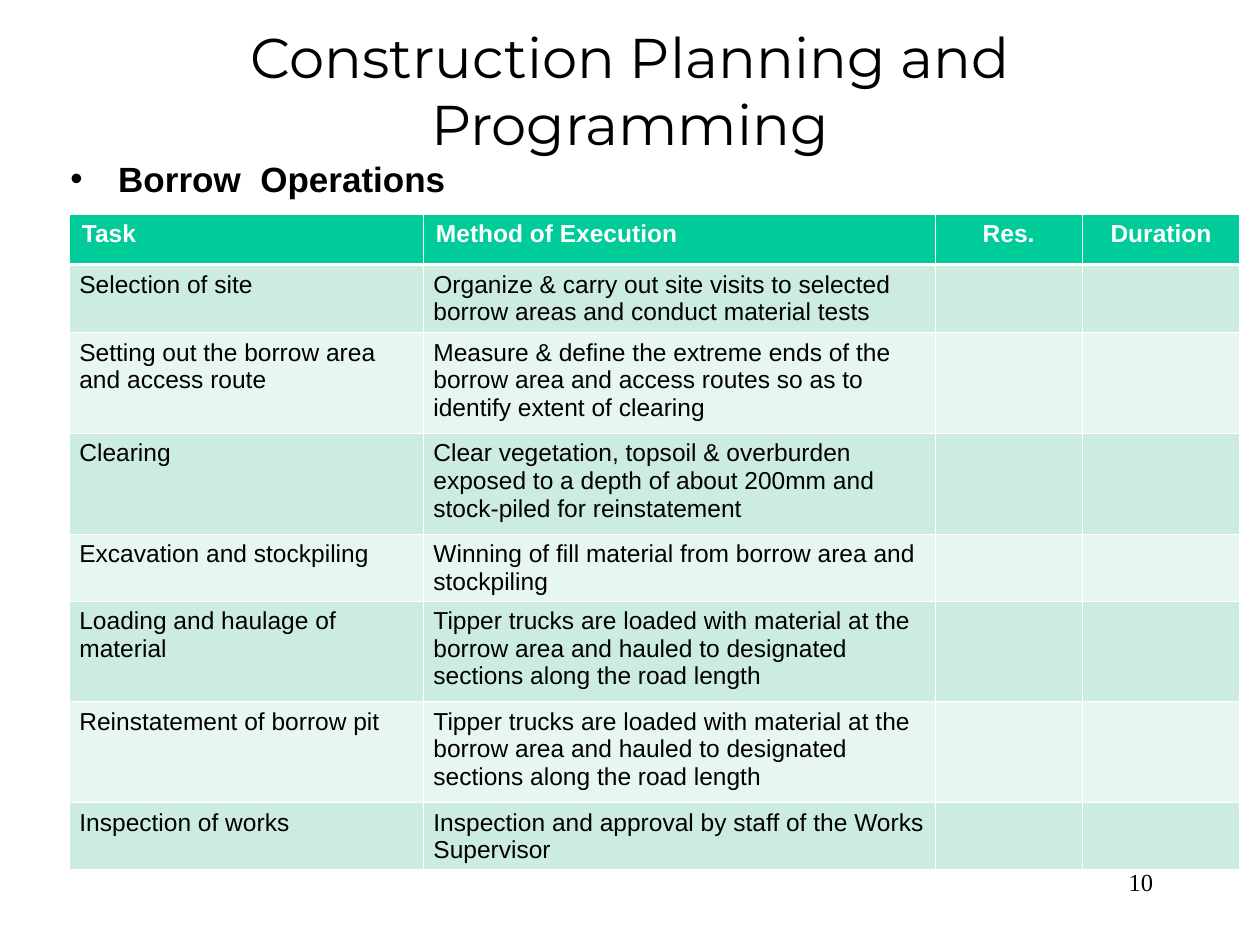
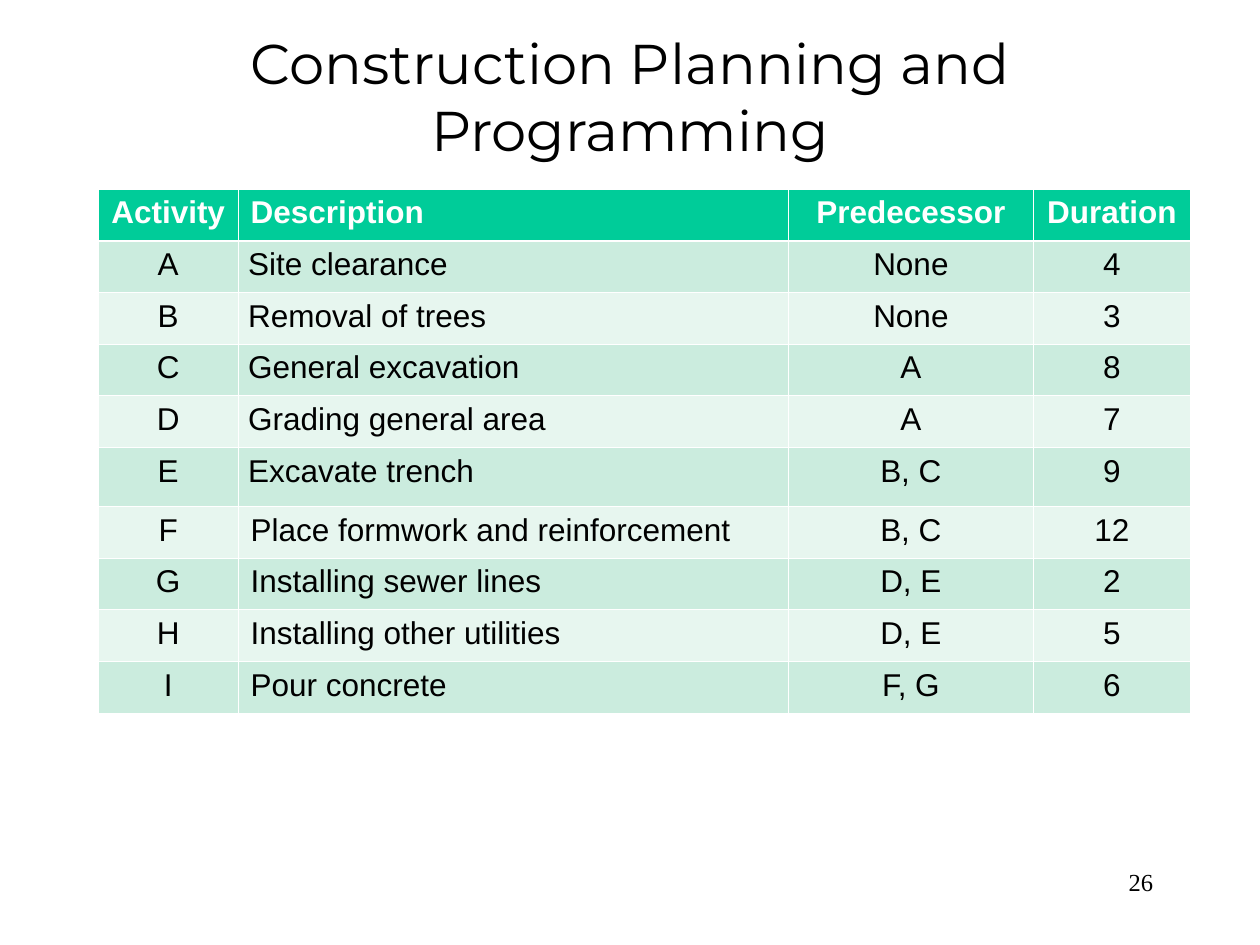
"""Build two construction planning slides, each with a banded table."""
from lxml.etree import SubElement as Sub
from pptx import Presentation
from pptx.dml.color import RGBColor as Rgb
from pptx.enum.text import MSO_ANCHOR as Anchor, MSO_AUTO_SIZE as Auto, PP_ALIGN as Align
from pptx.oxml.ns import qn
from pptx.util import Inches, Pt

TITLE = "Construction Planning and Programming"
HAUL = ("Tipper trucks are loaded with material at the borrow area "
        "and hauled to designated sections along the road length")
BORROW = [
    ("Task", "Method of Execution", "Res.", "Duration"),
    ("Selection of site", "Organize & carry out site visits to selected "
     "borrow areas and conduct material tests", "", ""),
    ("Setting out the borrow area and access route",
     "Measure & define the extreme ends of the borrow area and access routes "
     "so as to identify extent of clearing", "", ""),
    ("Clearing", "Clear vegetation, topsoil & overburden exposed to a depth "
     "of about 200mm and stock-piled for reinstatement", "", ""),
    ("Excavation and stockpiling",
     "Winning of fill material from borrow area and stockpiling", "", ""),
    ("Loading and haulage of material", HAUL, "", ""),
    ("Reinstatement of borrow pit", HAUL, "", ""),
    ("Inspection of works",
     "Inspection and approval by staff of the Works Supervisor", "", ""),
]
WORKS = [
    ("Activity", "Description", "Predecessor", "Duration"),
    ("A", "Site clearance", "None", "4"),
    ("B", "Removal of trees", "None", "3"),
    ("C", "General excavation", "A", "8"),
    ("D", "Grading general area", "A", "7"),
    ("E", "Excavate trench", "B, C", "9"),
    ("F", "Place formwork and reinforcement", "B, C", "12"),
    ("G", "Installing sewer lines", "D, E", "2"),
    ("H", "Installing other utilities", "D, E", "5"),
    ("I", "Pour concrete", "F, G", "6"),
]
SLIDES = [
    dict(page="10", top=0.25, bullet="Borrow  Operations", rows=BORROW,
         at=(0.55, 1.7), cols=(2.81, 4.06, 1.17, 1.25), size=14, align="llcc",
         highs=(0.4, 0.54, 0.8, 0.8, 0.53, 0.8, 0.8, 0.53), wide=(0,)),
    dict(page="26", top=0.3, bullet="", rows=WORKS,
         at=(0.78, 1.5), cols=(1.11, 4.37, 1.94, 1.25), size=18, align="cjcc",
         highs=[0.47 if row == 5 else 0.41 for row in range(10)],
         wide=(0, 6, 7, 8, 9)),
]
COLOR = dict(ink="000000", paper="FFFFFF", head="00CC99", dark="CBECDE", light="E7F6EF")
SIDES = dict(l=Align.LEFT, c=Align.CENTER, r=Align.RIGHT, j=Align.JUSTIFY)
THIN, THICK = 0.45, 1.47


def write(frame, text, size, face="Arial", ink="ink", bold=False, side="l"):
    para = frame.paragraphs[0]
    para.text = text
    para.alignment = SIDES[side]
    font = para.font
    font.name, font.size, font.bold = face, Pt(size), bold
    font.color.rgb = Rgb.from_string(COLOR[ink])


def add_box(slide, left, top, width, height):
    frame = slide.shapes.add_textbox(*map(Inches, (left, top, width, height))).text_frame
    frame.word_wrap = True
    return frame


def add_edges(cell, row):
    props = cell._tc.get_or_add_tcPr()
    heavy = {"lnB": row == 0, "lnT": row == 1}
    for tag in ("lnL", "lnR", "lnT", "lnB"):
        line = Sub(props, qn("a:" + tag), w=str(Pt(THICK if heavy.get(tag) else THIN)))
        Sub(Sub(line, qn("a:solidFill")), qn("a:srgbClr"), val=COLOR["paper"])


def add_grid(slide, rows, at, cols, highs, size, align, wide):
    area = map(Inches, (*at, sum(cols), sum(highs)))
    grid = slide.shapes.add_table(len(rows), len(cols), *area).table
    for col, width in zip(grid.columns, cols):
        col.width = Inches(width)
    for num, (texts, high) in enumerate(zip(rows, highs)):
        grid.rows[num].height = Inches(high)
        fill = "head" if num == 0 else "dark" if num % 2 else "light"
        for col, text in enumerate(texts):
            cell = grid.cell(num, col)
            add_edges(cell, num)
            cell.fill.solid()
            cell.fill.fore_color.rgb = Rgb.from_string(COLOR[fill])
            cell.margin_left = cell.margin_right = Inches(0.1 if num in wide else 0.08)
            cell.margin_bottom = 0
            side = "l" if num in wide and align[col] == "j" else align[col]
            write(cell.text_frame, text, size, ink="ink" if num else "paper",
                  bold=num == 0, side=side)


def add_title(slide, top):
    title = slide.shapes.title
    title.left, title.top, title.width, title.height = map(Inches, (0.75, top, 8.5, 0.92))
    frame = title.text_frame
    frame.auto_size, frame.vertical_anchor = Auto.NONE, Anchor.MIDDLE
    write(frame, TITLE, 32, "Montserrat", side="c")


def add_bullet(slide, text):
    frame = add_box(slide, 0.46, 1.2, 9.08, 0.45)
    props = frame.paragraphs[0]._p.get_or_add_pPr()
    props.set("marL", str(Inches(0.38)))
    props.set("indent", str(-Inches(0.38)))
    Sub(props, qn("a:buFont"), typeface="Arial")
    Sub(props, qn("a:buChar"), char="•")
    write(frame, text, 20, bold=True)


def main():
    deck = Presentation()
    deck.slide_width, deck.slide_height = Inches(10), Inches(7.5)
    for item in SLIDES:
        slide = deck.slides.add_slide(deck.slide_layouts[5])
        page = add_box(slide, 7.17, 6.83, 2.08, 0.5)
        write(page, item["page"], 14, "Times New Roman", side="r")
        add_title(slide, item["top"])
        if item["bullet"]:
            add_bullet(slide, item["bullet"])
        keys = ("rows", "at", "cols", "highs", "size", "align", "wide")
        add_grid(slide, *(item[key] for key in keys))
    deck.save("out.pptx")


if __name__ == "__main__":
    main()
